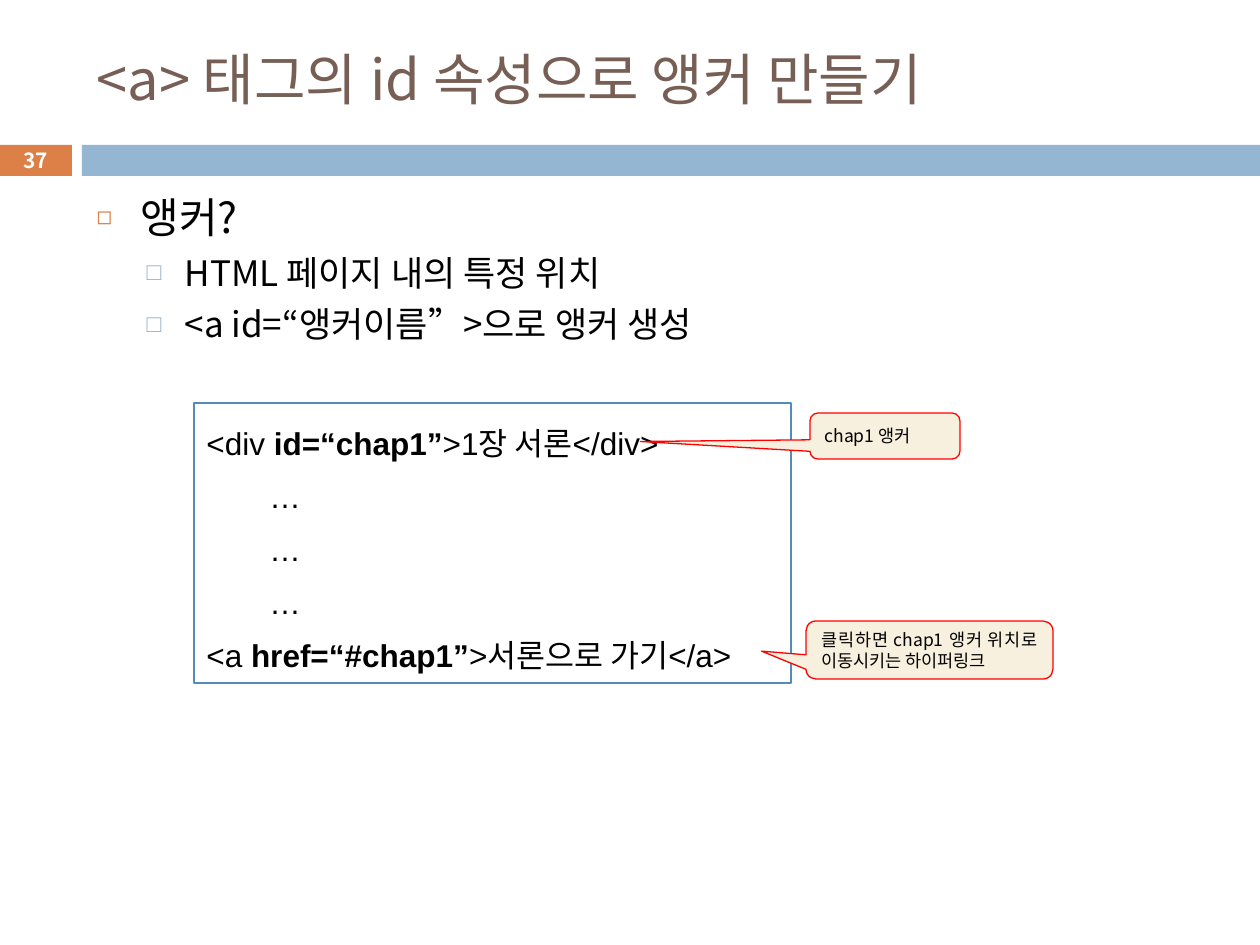
from lxml import etree
from pptx import Presentation
from pptx import util as u
from pptx.dml.color import RGBColor
from pptx.enum import shapes, text
from pptx.oxml import ns

PX = u.Inches(1) / 126
SANS = "Noto Sans CJK KR"
ORANGE, BLUE, BLACK = "DD8047", "94B6D2", "000000"
LEVELS = [
    dict(size=24, before=7, margin=44, hang=44, char="◻", color=ORANGE, scale=60),
    dict(size=20, before=5.5, margin=88, hang=38, char="□", color=BLUE, scale=70),
]
BULLETS = [(0, "앵커?"), (1, "HTML 페이지 내의 특정 위치"),
           (1, "<a id=“앵커이름”>으로 앵커 생성")]
# Each code line is a list of (text, bold) pieces.
CODE = [
    [("<div ", False), ("id=“chap1”", True), (">1장 서론</div>", False)],
    *[[("\t…", False)]] * 3,
    [("<a ", False), ("href=“#chap1”", True), (">서론으로 가기</a>", False)],
]
CALLOUTS = [
    ((810, 413, 150, 46), (-1.63, 0.12, 0.17), "chap1 앵커"),
    ((806, 621, 247, 58), (-0.68, 0.02, 0.17), "클릭하면 chap1 앵커 위치로 이동시키는 하이퍼링크"),
]


def px(length):
    return u.Emu(round(length * PX))


def rgb(color):
    return RGBColor.from_string(color)


def set_values(target, **values):
    for name, value in values.items():
        setattr(target, name, value)


def place(shape, box):
    set_values(shape, **dict(zip(("left", "top", "width", "height"), map(px, box))))


def add_run(paragraph, words, size, color=BLACK, font=SANS, bold=False):
    run = paragraph.add_run()
    run.text = words
    set_values(run.font, size=u.Pt(size), name=font, bold=bold)
    run.font.color.rgb = rgb(color)
    properties = run.font._element
    latin = properties.find(ns.qn("a:latin"))
    east_asian = etree.Element(ns.qn("a:ea"), typeface=SANS)
    latin.addnext(east_asian)


def add_box(slide, kind, box, fill=None, line=None):
    shape = slide.shapes.add_shape(kind, *map(px, box))
    shape.shadow.inherit = False
    if fill:
        shape.fill.solid()
        shape.fill.fore_color.rgb = rgb(fill)
    else:
        shape.fill.background()
    if line:
        shape.line.color.rgb = rgb(line)
        shape.line.width = u.Pt(0.75)
    else:
        shape.line.fill.background()
    return shape


def add_bullet(paragraph, level):
    properties = paragraph._p.get_or_add_pPr()
    properties.set("marL", str(px(level["margin"])))
    properties.set("indent", str(-px(level["hang"])))
    color = etree.SubElement(properties, ns.qn("a:buClr"))
    etree.SubElement(color, ns.qn("a:srgbClr"), val=level["color"])
    etree.SubElement(properties, ns.qn("a:buSzPct"), val=str(level["scale"] * 1000))
    etree.SubElement(properties, ns.qn("a:buChar"), char=level["char"])


def paragraphs(frame, count):
    """Return the frame's first paragraph followed by new ones."""
    return [frame.paragraphs[0]] + [frame.add_paragraph() for _ in range(count - 1)]


def fill_title(title):
    place(title, (84, 32, 1124, 93))
    set_values(title.text_frame, vertical_anchor=text.MSO_ANCHOR.MIDDLE,
               auto_size=text.MSO_AUTO_SIZE.NONE, word_wrap=True)
    paragraph = title.text_frame.paragraphs[0]
    paragraph.alignment = text.PP_ALIGN.LEFT
    add_run(paragraph, "<a> 태그의 id 속성으로 앵커 만들기", 32, "775F55")


def fill_body(body):
    place(body, (84, 185, 1124, 694))
    frame = body.text_frame
    set_values(frame, auto_size=text.MSO_AUTO_SIZE.NONE, word_wrap=True)
    for index, (depth, words) in enumerate(BULLETS):
        paragraph = paragraphs(frame, 1)[0] if index == 0 else frame.add_paragraph()
        level = LEVELS[depth]
        add_bullet(paragraph, level)
        set_values(paragraph, level=depth,
                   space_before=u.Pt(level["before"] if index else 0))
        add_run(paragraph, words, level["size"])


def add_page_number(slide):
    box = slide.shapes.add_textbox(*map(px, (-1, 143, 73, 34)))
    frame = box.text_frame
    set_values(frame, word_wrap=True, vertical_anchor=text.MSO_ANCHOR.MIDDLE,
               margin_top=0, margin_bottom=0)
    paragraph = frame.paragraphs[0]
    paragraph.alignment = text.PP_ALIGN.CENTER
    add_run(paragraph, "37", 11.9, "FFFFFF", bold=True)


def add_code(slide):
    shape = add_box(slide, shapes.MSO_SHAPE.RECTANGLE, (194, 403, 597, 280), line="558BB8")
    frame = shape.text_frame
    set_values(frame, word_wrap=False, auto_size=text.MSO_AUTO_SIZE.SHAPE_TO_FIT_TEXT,
               vertical_anchor=text.MSO_ANCHOR.TOP)
    for paragraph, pieces in zip(paragraphs(frame, len(CODE)), CODE):
        set_values(paragraph, alignment=text.PP_ALIGN.LEFT, line_spacing=1.4)
        for words, bold in pieces:
            add_run(paragraph, words, 18, font="Arial", bold=bold)


def add_callout(slide, box, adjustments, words):
    shape = add_box(slide, shapes.MSO_SHAPE.ROUNDED_RECTANGULAR_CALLOUT, box,
                    "F7F0DE", "FF0000")
    for index, value in enumerate(adjustments):
        shape.adjustments[index] = value
    set_values(shape.text_frame, word_wrap=True, vertical_anchor=text.MSO_ANCHOR.MIDDLE)
    paragraph = shape.text_frame.paragraphs[0]
    paragraph.alignment = text.PP_ALIGN.JUSTIFY
    add_run(paragraph, words, 10)


def main():
    presentation = Presentation()
    set_values(presentation, slide_width=px(1260), slide_height=px(945))
    slide = presentation.slides.add_slide(presentation.slide_layouts[1])
    for box, color in (((-1, 145, 73, 31), ORANGE), ((82, 145, 1178, 31), BLUE)):
        add_box(slide, shapes.MSO_SHAPE.RECTANGLE, box, color)
    fill_title(slide.shapes.title)
    fill_body(slide.placeholders[1])
    add_page_number(slide)
    add_code(slide)
    for callout in CALLOUTS:
        add_callout(slide, *callout)
    presentation.save("out.pptx")


if __name__ == "__main__":
    main()
